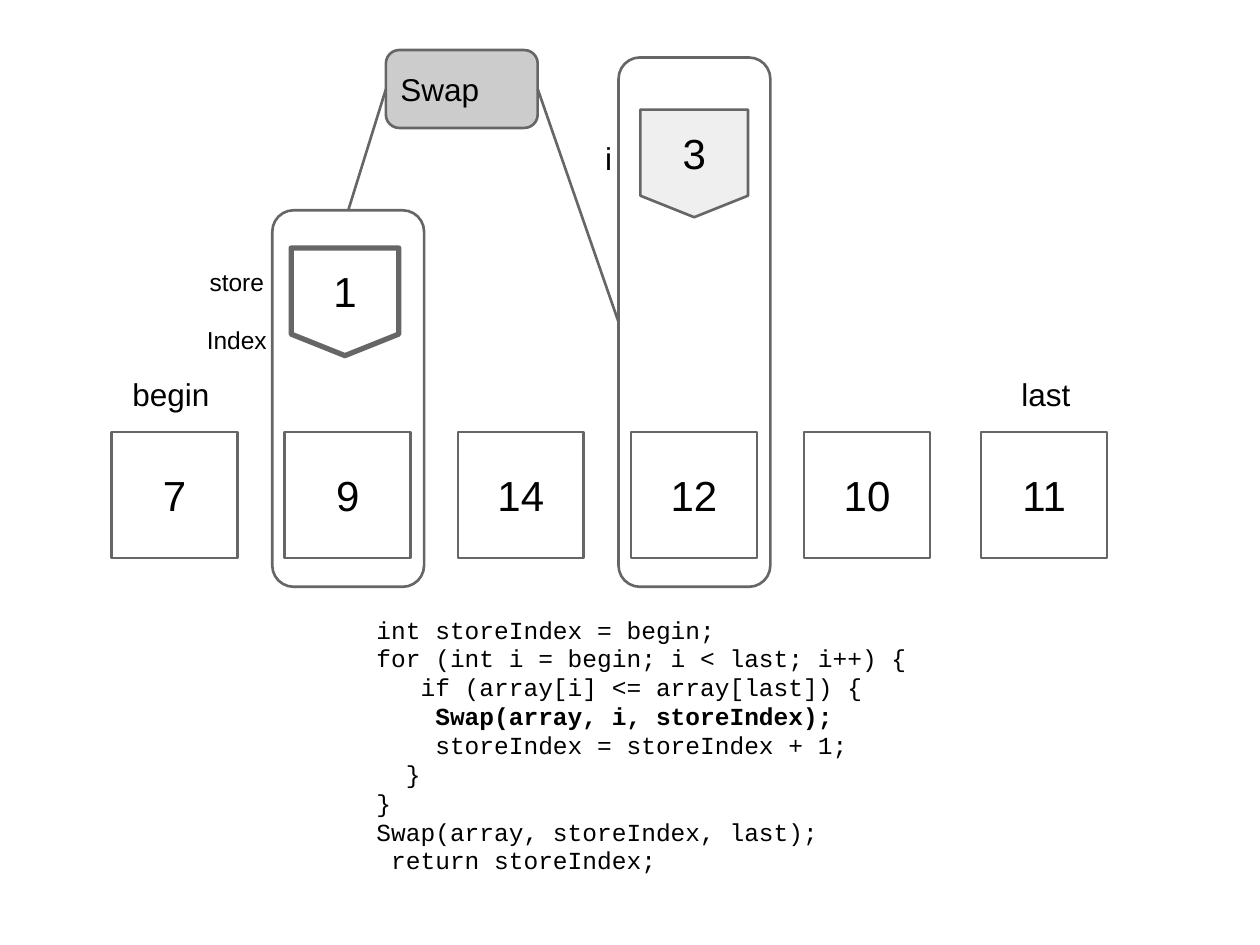
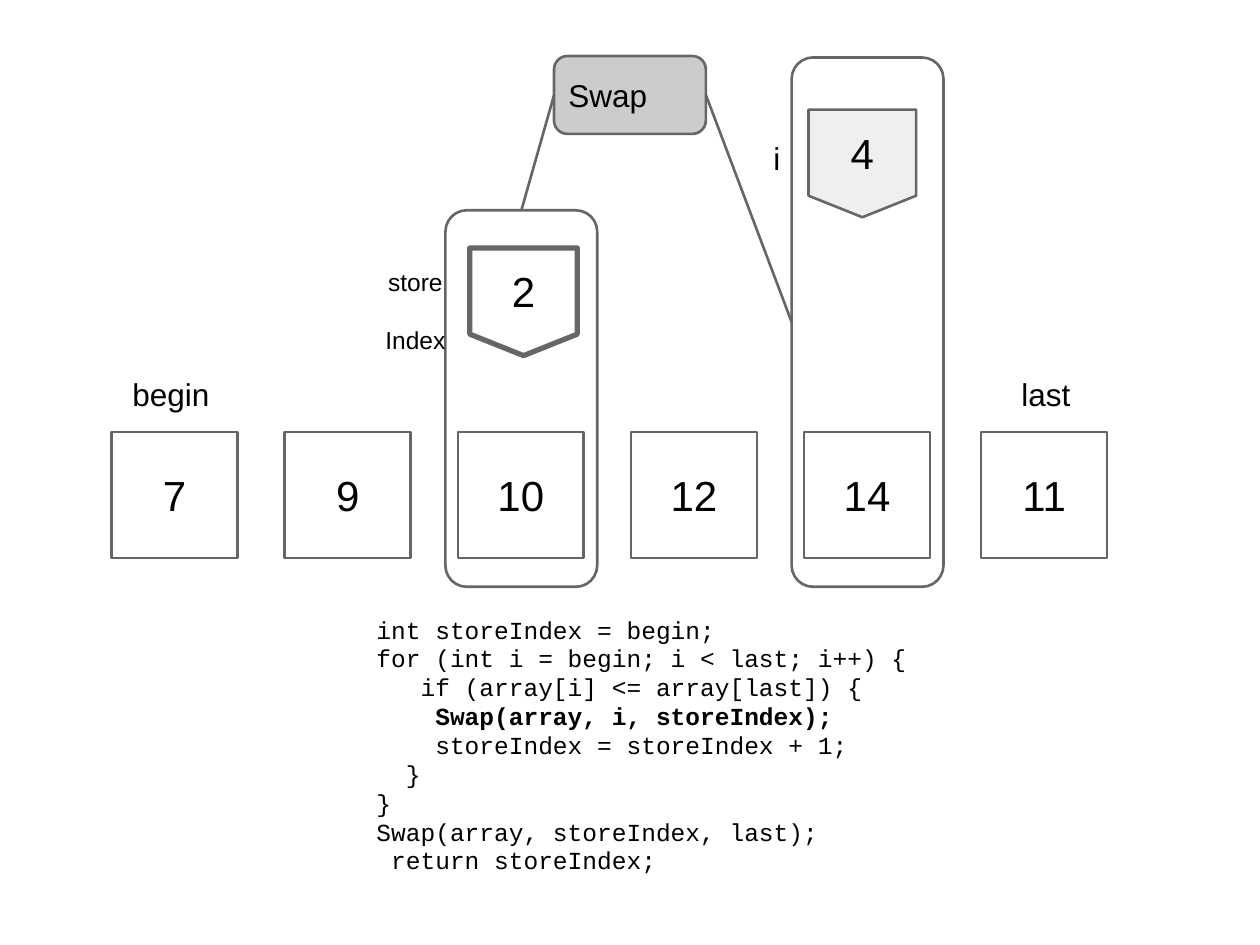
from lxml.etree import SubElement
from pptx import Presentation
from pptx.dml.color import RGBColor
from pptx.enum.shapes import MSO_CONNECTOR, MSO_SHAPE
from pptx.enum.text import MSO_ANCHOR, MSO_AUTO_SIZE, PP_ALIGN
from pptx.oxml.ns import qn
from pptx.util import Cm, Pt

COLOURS = {"ink": "000000", "outline": "666666", "swap": "CCCCCC", "marker": "EFEFEF"}
SANS, MONO = "Arial", "Courier New"
LINE_PITCH = 16.5
TOP, LEFT, RIGHT = 0, 1, 3  # connection sites

# Array row and frames, in centimetres
CELL, CELL_TOP, CELL_LEFT, CELL_PITCH, LAST_LEFT = 2.54, 8.71, 2.25, 3.49, 19.78
FRAME_WIDTH, FRAME_MARGIN, FRAME_BOTTOM = 3.06, 0.25, 11.83
STORE_TOP, I_TOP = 4.24, 1.16
MARKER = 2.17
SWAP_HEIGHT = 1.57

# Each line is text and whether it is the highlighted step
CODE = [
    ("int storeIndex = begin;", False),
    ("for (int i = begin; i < last; i++) {", False),
    ("   if (array[i] <= array[last]) {", False),
    ("    Swap(array, i, storeIndex);", True),
    ("    storeIndex = storeIndex + 1;", False),
    ("  }", False),
    ("}", False),
    ("Swap(array, storeIndex, last);", False),
    (" return storeIndex;", False),
]

# Marker and swap positions are set per step
STEPS = [
    {"values": [7, 9, 14, 12, 10, 11], "store": 1, "i": 3,
     "store_marker": 5.87, "i_marker": 12.91, "swap": (7.78, 1.01)},
    {"values": [7, 9, 10, 12, 14, 11], "store": 2, "i": 4,
     "store_marker": 9.47, "i_marker": 16.3, "swap": (11.17, 1.13)},
]


def colour(name):
    return RGBColor.from_string(COLOURS[name])


def cell_left(index):
    return LAST_LEFT if index == 5 else CELL_LEFT + index * CELL_PITCH


class Board:
    """Holds the drawing style and the current slide."""

    def __init__(self, deck):
        self.deck = deck
        self.slide = None

    def new_slide(self):
        self.slide = self.deck.slides.add_slide(self.deck.slide_layouts[5])

    def set_text(self, frame, lines, size, font=SANS, align=PP_ALIGN.LEFT,
                 anchor=MSO_ANCHOR.TOP, pitch=None, gap=0):
        frame.margin_left = frame.margin_right = frame.margin_top = frame.margin_bottom = 0
        frame.word_wrap = False
        frame.auto_size = MSO_AUTO_SIZE.NONE
        frame.vertical_anchor = anchor
        for number, (text, bold) in enumerate(lines):
            paragraph = frame.add_paragraph() if number else frame.paragraphs[0]
            paragraph.alignment = align
            if pitch:
                paragraph.line_spacing = Pt(pitch)
            if number and gap:
                paragraph.space_before = Pt(gap)
            run = paragraph.add_run()
            run.text = text
            run.font.name, run.font.size, run.font.bold = font, Pt(size), bold
            run.font.color.rgb = colour("ink")

    def outline(self, kind, left, top, width, height, fill=None, weight=1.5, corner=None):
        shape = self.slide.shapes.add_shape(kind, Cm(left), Cm(top), Cm(width), Cm(height))
        shape.shadow.inherit = False
        if fill:
            shape.fill.solid()
            shape.fill.fore_color.rgb = colour(fill)
        else:
            shape.fill.background()
        shape.line.color.rgb = colour("outline")
        shape.line.width = Pt(weight)
        if corner:
            shape.adjustments[0] = corner / min(width, height)
        return shape

    def number(self, shape, value):
        self.set_text(shape.text_frame, [(str(value), False)], 24,
                      align=PP_ALIGN.CENTER, anchor=MSO_ANCHOR.MIDDLE)

    def cell(self, index, value):
        self.number(self.outline(MSO_SHAPE.RECTANGLE, cell_left(index), CELL_TOP, CELL, CELL), value)

    def frame(self, index, top):
        return self.outline(MSO_SHAPE.ROUNDED_RECTANGLE, cell_left(index) - FRAME_MARGIN, top,
                            FRAME_WIDTH, FRAME_BOTTOM - top, corner=0.43)

    def marker(self, value, left, top, **style):
        self.number(self.outline(MSO_SHAPE.FLOWCHART_OFFPAGE_CONNECTOR, left, top,
                                 MARKER, MARKER, **style), value)

    def label(self, lines, left, top, width, height, size=18, **style):
        box = self.slide.shapes.add_textbox(Cm(left), Cm(top), Cm(width), Cm(height))
        self.set_text(box.text_frame, lines, size, **style)

    def swap_title(self, left, top):
        box = self.outline(MSO_SHAPE.ROUNDED_RECTANGLE, left, top, FRAME_WIDTH, SWAP_HEIGHT,
                           fill="swap", corner=0.27)
        title = self.slide.shapes.title
        title.left, title.top = Cm(left + 0.29), Cm(top)
        title.width, title.height = Cm(1.65), Cm(SWAP_HEIGHT)
        self.set_text(title.text_frame, [("Swap", False)], 18, anchor=MSO_ANCHOR.MIDDLE)
        box._element.addnext(title._element)  # title in front of its box
        return box

    def link(self, start, start_site, end, end_site):
        line = self.slide.shapes.add_connector(MSO_CONNECTOR.STRAIGHT, 0, 0, 0, 0)
        line.begin_connect(start, start_site)
        line.end_connect(end, end_site)
        line.line.color.rgb = colour("outline")
        line.line.width = Pt(1.5)
        SubElement(line._element.spPr, qn("a:effectLst"))


def draw_step(board, step):
    board.new_slide()

    # Frames around the two swapped elements
    i_frame = board.frame(step["i"], I_TOP)
    store_frame = board.frame(step["store"], STORE_TOP)

    # Array
    for index, value in enumerate(step["values"]):
        board.cell(index, value)
    board.label([("begin", False)], 2.67, 7.57, 1.63, 0.8)
    board.label([("last", False)], 20.59, 7.57, 1.07, 0.8)

    # Code
    board.label(CODE, 7.59, 12.4, 10.74, 5.3, size=14, font=MONO, pitch=LINE_PITCH)

    # Index markers
    store_left, i_left = step["store_marker"], step["i_marker"]
    board.marker(step["store"], store_left, 5, weight=3)
    board.label([("store", False), ("Index", False)], store_left - 1.73, 5.39, 1.27, 1.8,
                size=14, align=PP_ALIGN.CENTER, pitch=LINE_PITCH, gap=LINE_PITCH)
    board.marker(step["i"], i_left, 2.21, fill="marker")
    board.label([("i", False)], i_left - 0.71, 2.8, 0.2, 0.8)

    # Swap box and its links
    swap = board.swap_title(*step["swap"])
    board.link(swap, LEFT, store_frame, TOP)
    board.link(swap, RIGHT, i_frame, LEFT)


def main():
    deck = Presentation()
    deck.slide_width, deck.slide_height = Cm(25.4), Cm(19.05)
    board = Board(deck)
    for step in STEPS:
        draw_step(board, step)
    deck.save("out.pptx")


if __name__ == "__main__":
    main()
